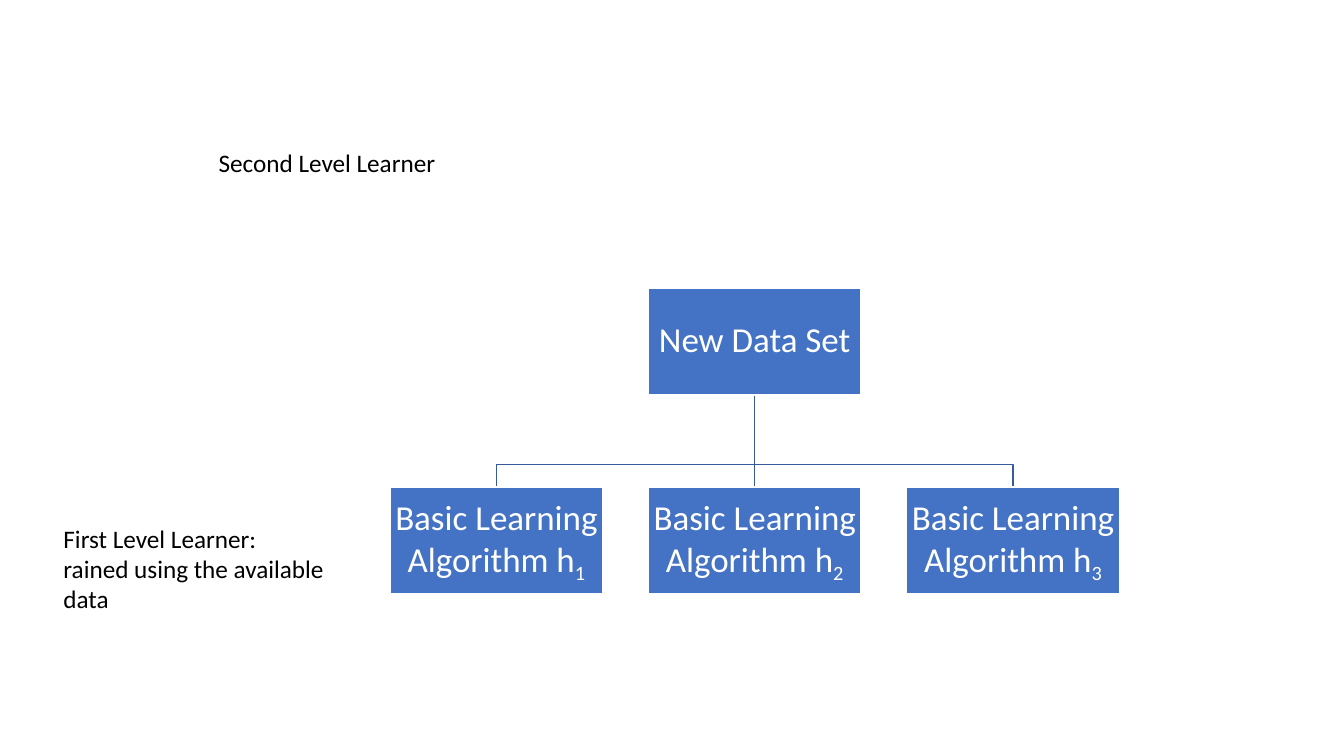
from lxml import etree
from pptx import Presentation
from pptx.dml.color import RGBColor
from pptx.enum.shapes import MSO_CONNECTOR, MSO_SHAPE
from pptx.enum.text import MSO_ANCHOR, PP_ALIGN
from pptx.oxml.ns import qn
from pptx.util import Cm, Pt

RECTANGLE = MSO_SHAPE.RECTANGLE
STRAIGHT = MSO_CONNECTOR.STRAIGHT
MIDDLE, TOP = MSO_ANCHOR.MIDDLE, MSO_ANCHOR.TOP
CENTER, LEFT = PP_ALIGN.CENTER, PP_ALIGN.LEFT

BLUE = RGBColor(0x44, 0x72, 0xC4)
BRANCH_BLUE = RGBColor(0x36, 0x5B, 0x9D)
WHITE = RGBColor(0xFF, 0xFF, 0xFF)
BLACK = RGBColor(0, 0, 0)

DATA_SET = "New Data Set"
ALGORITHM = "Basic Learning Algorithm h"
SUBSCRIPTS = ["1", "2", "3"]
LEVELS = [
    ("Second Level Learner", 5.26, 3.58, 8.46, 1.03),
    ("First Level Learner:\nrained using the available data", 1.35, 13.06, 7.95, 2.56),
]

BOX_W, BOX_H = 5.38, 2.69
AXIS_X, PITCH = 19.02, 6.51
DATA_TOP, BEND_Y, ALGORITHM_TOP = 7.26, 11.7, 12.27
DATA_BOTTOM = DATA_TOP + BOX_H


def write(frame, text, size=18, color=BLACK, align=LEFT, anchor=TOP,
          spacing=1.0, inset=None, subscript=""):
    frame.word_wrap = True
    frame.vertical_anchor = anchor
    if inset is not None:
        frame.margin_left = frame.margin_right = Cm(inset)
        frame.margin_top = frame.margin_bottom = Cm(inset)
    frame.text = text
    if subscript:
        lowered = frame.paragraphs[-1].add_run()
        lowered.text = subscript
        lowered.font._element.set("baseline", "-25000")
    for paragraph in frame.paragraphs:
        paragraph.alignment = align
        paragraph.line_spacing = spacing
        for run in paragraph.runs:
            run.font.name = "Calibri"
            run.font.size = Pt(size)
            run.font.color.rgb = color


def add_box(slide, center_x, top, text, subscript=""):
    box = slide.shapes.add_shape(RECTANGLE, Cm(center_x - BOX_W / 2), Cm(top),
                                 Cm(BOX_W), Cm(BOX_H))
    box.shadow.inherit = False
    box.fill.solid()
    box.fill.fore_color.rgb = BLUE
    box.line.color.rgb = WHITE
    box.line.width = Pt(1.5)
    write(box.text_frame, text, size=25, color=WHITE, align=CENTER, anchor=MIDDLE,
          spacing=0.9, inset=0.04, subscript=subscript)


def add_branch(slide, center_x):
    if center_x == AXIS_X:
        branch = slide.shapes.add_connector(STRAIGHT, Cm(AXIS_X), Cm(DATA_BOTTOM),
                                            Cm(AXIS_X), Cm(ALGORITHM_TOP))
        etree.SubElement(branch._element.spPr, qn("a:effectLst"))
    else:
        outline = slide.shapes.build_freeform(Cm(AXIS_X), Cm(DATA_BOTTOM))
        corners = [(AXIS_X, BEND_Y), (center_x, BEND_Y), (center_x, ALGORITHM_TOP)]
        outline.add_line_segments([(Cm(x), Cm(y)) for x, y in corners], close=False)
        branch = outline.convert_to_shape()
        branch.shadow.inherit = False
        branch.fill.background()
    branch.line.color.rgb = BRANCH_BLUE
    branch.line.width = Pt(1)


def main():
    deck = Presentation()
    deck.slide_width, deck.slide_height = Cm(33.87), Cm(19.05)
    slide = deck.slides.add_slide(deck.slide_layouts[6])

    middle = len(SUBSCRIPTS) // 2
    centers = [AXIS_X + (i - middle) * PITCH for i in range(len(SUBSCRIPTS))]
    for center_x in centers:
        add_branch(slide, center_x)
    add_box(slide, AXIS_X, DATA_TOP, DATA_SET)
    for center_x, subscript in zip(centers, SUBSCRIPTS):
        add_box(slide, center_x, ALGORITHM_TOP, ALGORITHM, subscript)

    for text, *place in LEVELS:
        level = slide.shapes.add_textbox(*[Cm(length) for length in place])
        write(level.text_frame, text)

    deck.save("out.pptx")


if __name__ == "__main__":
    main()
